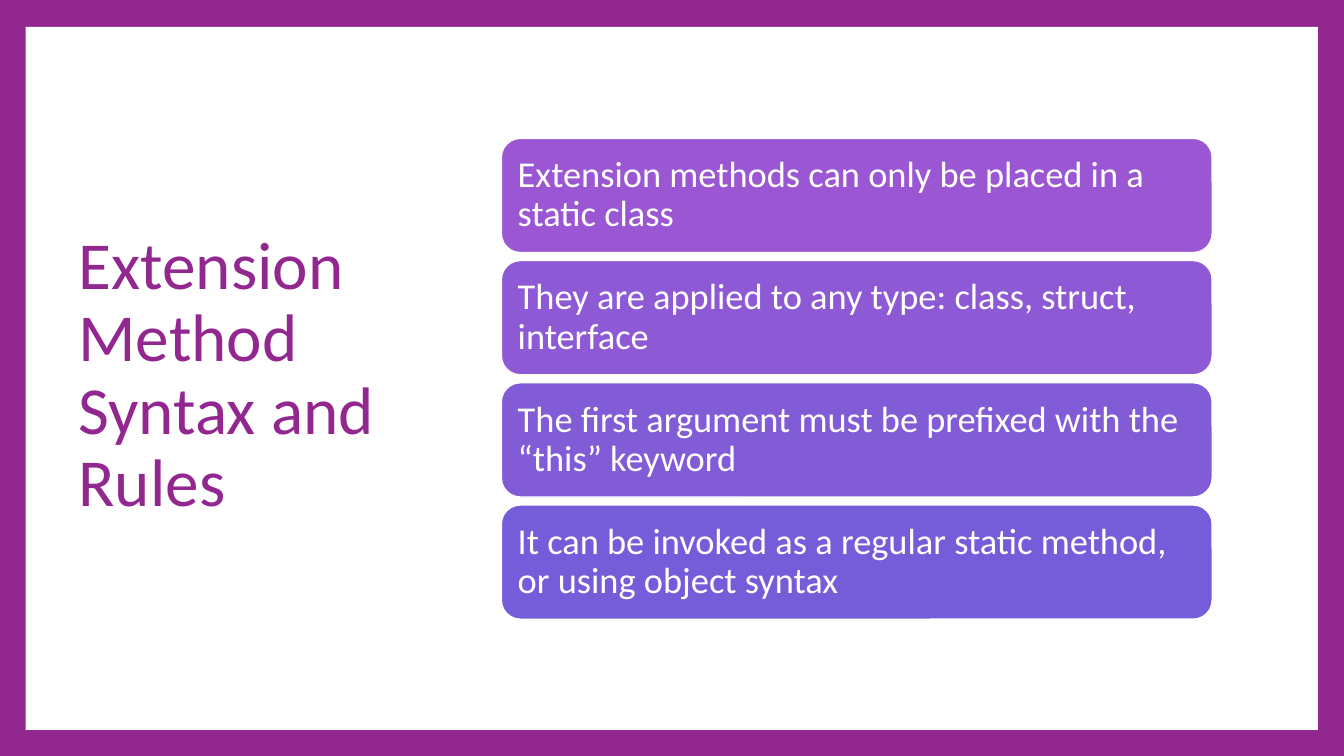
from pptx import Presentation
from pptx.dml.color import RGBColor
from pptx.enum.shapes import MSO_SHAPE as Kind
from pptx.enum.text import MSO_ANCHOR as Anchor, PP_ALIGN as Align
from pptx.util import Cm, Pt

PURPLE = "92278F"
WHITE = "FFFFFF"
RULES = {
    "Extension methods can only be placed in a static class": "9B57D3",
    "They are applied to any type: class, struct, interface": "8E59D5",
    "The first argument must be prefixed with the “this” keyword": "825BD7",
    "It can be invoked as a regular static method, or using object syntax": "755DD9",
}


def tint(code):
    """Turn a hex string into a colour."""
    return RGBColor.from_string(code)


def apply(target, values):
    """Set each named attribute on the target."""
    for name, value in values.items():
        setattr(target, name, value)


class Deck:
    """Hold the style and the current slide."""

    def __init__(self, slide, font):
        """Keep the slide and its font."""
        self.slide = slide
        self.font = font

    def back(self, color):
        """Fill the slide background."""
        fill = self.slide.background.fill
        fill.solid()
        fill.fore_color.rgb = tint(color)

    def label(self, shape, text, size, color, inset):
        """Put one left-aligned paragraph into a shape."""
        frame = shape.text_frame
        edges = ("left", "right", "top", "bottom")
        apply(frame, {f"margin_{edge}": Cm(inset) for edge in edges})
        apply(frame, {"word_wrap": True, "vertical_anchor": Anchor.MIDDLE})
        para = frame.paragraphs[0]
        apply(para, {"text": text, "line_spacing": 0.9, "alignment": Align.LEFT})
        font = para.runs[0].font
        apply(font, {"name": self.font, "size": Pt(size)})
        font.color.rgb = tint(color)

    def box(self, kind, area, color):
        """Draw a filled shape without an outline."""
        shape = self.slide.shapes.add_shape(kind, *map(Cm, area))
        shape.shadow.inherit = False
        shape.fill.solid()
        shape.fill.fore_color.rgb = tint(color)
        shape.line.fill.background()
        return shape

    def title(self, area, text):
        """Add the slide title."""
        shape = self.slide.shapes.add_textbox(*map(Cm, area))
        self.label(shape, text, 72, PURPLE, 0.25)

    def card(self, area, text, color):
        """Add a rounded card with one rule."""
        shape = self.box(Kind.ROUNDED_RECTANGLE, area, color)
        shape.line.color.rgb = tint(WHITE)
        shape.line.width = Pt(1.5)
        self.label(shape, text, 39, WHITE, 0.41)


def main():
    """Build and save the slide."""
    show = Presentation()
    apply(show, {"slide_width": Cm(50.8), "slide_height": Cm(28.58)})
    deck = Deck(show.slides.add_slide(show.slide_layouts[6]), "Calibri")
    deck.back(PURPLE)
    deck.box(Kind.RECTANGLE, (0.97, 1.02, 48.84, 26.57), WHITE)
    deck.title((2.72, 2.54, 14.02, 23.37), "Extension Method Syntax and Rules")
    top, pitch = 5.23, 4.62
    for row, (text, color) in enumerate(RULES.items()):
        deck.card((18.95, top + row * pitch, 26.87, 4.32), text, color)
    show.save("out.pptx")


if __name__ == "__main__":
    main()
